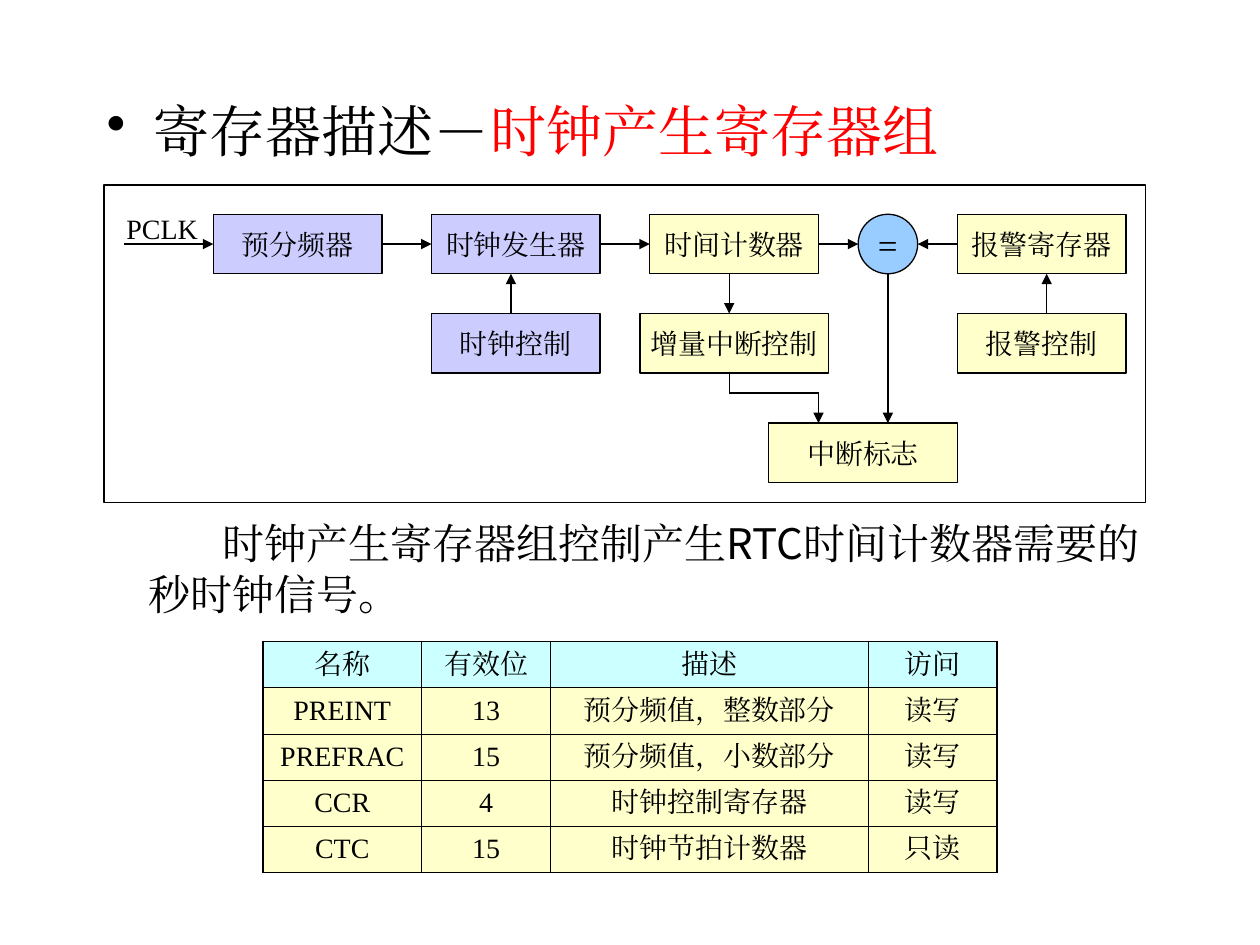
from pptx import Presentation
from pptx.dml.color import RGBColor as RGB
from pptx.enum.shapes import MSO_CONNECTOR as LINK, MSO_SHAPE as SHAPE
from pptx.enum.text import MSO_ANCHOR as ANCHOR, PP_ALIGN as ALIGN
from pptx.oxml.ns import qn
from pptx.util import Cm, Pt
from lxml.etree import SubElement as Sub

HUE = {"black": "000000", "red": "FF0000", "violet": "CCCCFF",
       "cream": "FFFFCC", "sky": "99CCFF", "aqua": "CCFFFF"}
SERIF, SANS = "Times New Roman", "Noto Sans CJK JP"


def write(para, text, size, hue="black", font=SERIF):
    """Add one run; its East Asian face is always SERIF."""
    run = para.add_run()
    run.text = text
    run.font.size = Pt(size)
    run.font.name = font
    run.font.color.rgb = RGB.from_string(HUE[hue])
    Sub(run.font._element, qn("a:ea"), typeface=SERIF)


def box(kind, x, y, w, h, fill=None):
    """Add a thinly outlined shape, filled only if a colour is named."""
    shape = slide.shapes.add_shape(kind, Cm(x), Cm(y), Cm(w), Cm(h))
    shape.shadow.inherit = False
    shape.line.color.rgb = RGB.from_string(HUE["black"])
    shape.line.width = Pt(0.75)
    if fill:
        shape.fill.solid()
        shape.fill.fore_color.rgb = RGB.from_string(HUE[fill])
    else:
        shape.fill.background()
    return shape


deck = Presentation()
deck.slide_width, deck.slide_height = Cm(25.4), Cm(19.05)
slide = deck.slides.add_slide(deck.slide_layouts[6])

# Title with its bullet
title = slide.shapes.add_textbox(Cm(1.9), Cm(1.83), Cm(20.8), Cm(1.7)).text_frame
title.word_wrap = True
para = title.paragraphs[0]
para.space_before = Pt(8)
props = para._p.get_or_add_pPr()
props.set("marL", str(Cm(0.95)))
props.set("indent", str(-Cm(0.95)))
Sub(props, qn("a:buChar"), char="•")
write(para, "寄存器描述－", 32)
write(para, "时钟产生寄存器组", 32, "red")

# Block diagram
box(SHAPE.RECTANGLE, 2.1, 3.73, 21, 6.4)
high = 1.2
top, mid, low = 4.32, 6.32, 8.53
axis = top + high / 2
blocks = [
    ("预分频器", 4.3, top, 3.4, "violet"),
    ("时钟发生器", 8.7, top, 3.4, "violet"),
    ("时间计数器", 13.1, top, 3.4, "cream"),
    ("=", 17.3, top, high, "sky"),
    ("报警寄存器", 19.3, top, 3.4, "cream"),
    ("时钟控制", 8.7, mid, 3.4, "violet"),
    ("增量中断控制", 12.9, mid, 3.8, "cream"),
    ("报警控制", 19.3, mid, 3.4, "cream"),
    ("中断标志", 15.5, low, 3.8, "cream"),
]
for name, x, y, wide, fill in blocks:
    sign = name == "="
    shape = box(SHAPE.OVAL if sign else SHAPE.RECTANGLE, x, y, wide, high, fill)
    frame = shape.text_frame
    frame.word_wrap = False
    frame.vertical_anchor = ANCHOR.MIDDLE
    frame.paragraphs[0].alignment = ALIGN.CENTER
    write(frame.paragraphs[0], name, 20 if sign else 16)

bend = 7.92
lines = [  # x1, y1, x2, y2, arrow
    (2.5, axis, 4.3, axis, True),
    (7.7, axis, 8.7, axis, True),
    (12.1, axis, 13.1, axis, True),
    (16.5, axis, 17.3, axis, True),
    (19.3, axis, 18.5, axis, True),
    (10.3, mid, 10.3, top + high, True),
    (14.7, top + high, 14.7, mid, True),
    (21.1, mid, 21.1, top + high, True),
    (17.9, top + high, 17.9, low, True),
    (14.7, mid + high, 14.7, bend, False),
    (14.7, bend, 16.5, bend, False),
    (16.5, bend, 16.5, low, True),
]
for x1, y1, x2, y2, arrow in lines:
    link = slide.shapes.add_connector(LINK.STRAIGHT, Cm(x1), Cm(y1), Cm(x2), Cm(y2))
    link.line.color.rgb = RGB.from_string(HUE["black"])
    link.line.width = Pt(0.75)
    if arrow:
        Sub(link.line._get_or_add_ln(), qn("a:tailEnd"), type="triangle")
    Sub(link._element.spPr, qn("a:effectLst"))

clock = slide.shapes.add_textbox(Cm(2.3), Cm(4.14), Cm(2), Cm(0.94)).text_frame
clock.word_wrap = True
clock.paragraphs[0].space_before = Pt(10)
write(clock.paragraphs[0], "PCLK", 16)

# Explanation
note = slide.shapes.add_textbox(Cm(2.74), Cm(10.31), Cm(20.52), Cm(2.29)).text_frame
note.word_wrap = True
para = note.paragraphs[0]
para.space_before = Pt(15)
para._p.get_or_add_pPr().set("indent", str(Cm(1.5)))
write(para, "时钟产生寄存器组控制产生RTC时间计数器需要的秒时钟信号。", 24, font=SANS)

# Register table
rows = [
    ("名称", "有效位", "描述", "访问"),
    ("PREINT", "13", "预分频值，整数部分", "读写"),
    ("PREFRAC", "15", "预分频值，小数部分", "读写"),
    ("CCR", "4", "时钟控制寄存器", "读写"),
    ("CTC", "15", "时钟节拍计数器", "只读"),
]
wides = [3.2, 2.6, 6.4, 2.6]
tall = 0.93
table = slide.shapes.add_table(len(rows), len(wides), Cm(5.3), Cm(12.93),
                               Cm(sum(wides)), Cm(tall * len(rows))).table
table.first_row = table.horz_banding = False
for col, wide in zip(table.columns, wides):
    col.width = Cm(wide)
for r, row in enumerate(rows):
    table.rows[r].height = Cm(tall)
    for c, text in enumerate(row):
        cell = table.cell(r, c)
        cell.vertical_anchor = ANCHOR.MIDDLE
        edges = {"L": c == 0, "R": c == len(row) - 1,
                 "T": r == 0, "B": r == len(rows) - 1}
        for side, outer in edges.items():
            edge = Sub(cell._tc.get_or_add_tcPr(), qn(f"a:ln{side}"),
                       w=str(Pt(1.08 if outer else 0.45)))
            Sub(Sub(edge, qn("a:solidFill")), qn("a:srgbClr"), val=HUE["black"])
        cell.fill.solid()
        cell.fill.fore_color.rgb = RGB.from_string(HUE["cream" if r else "aqua"])
        para = cell.text_frame.paragraphs[0]
        para.alignment = ALIGN.CENTER
        para.space_before = Pt(4)
        write(para, text, 16)

deck.save("out.pptx")
